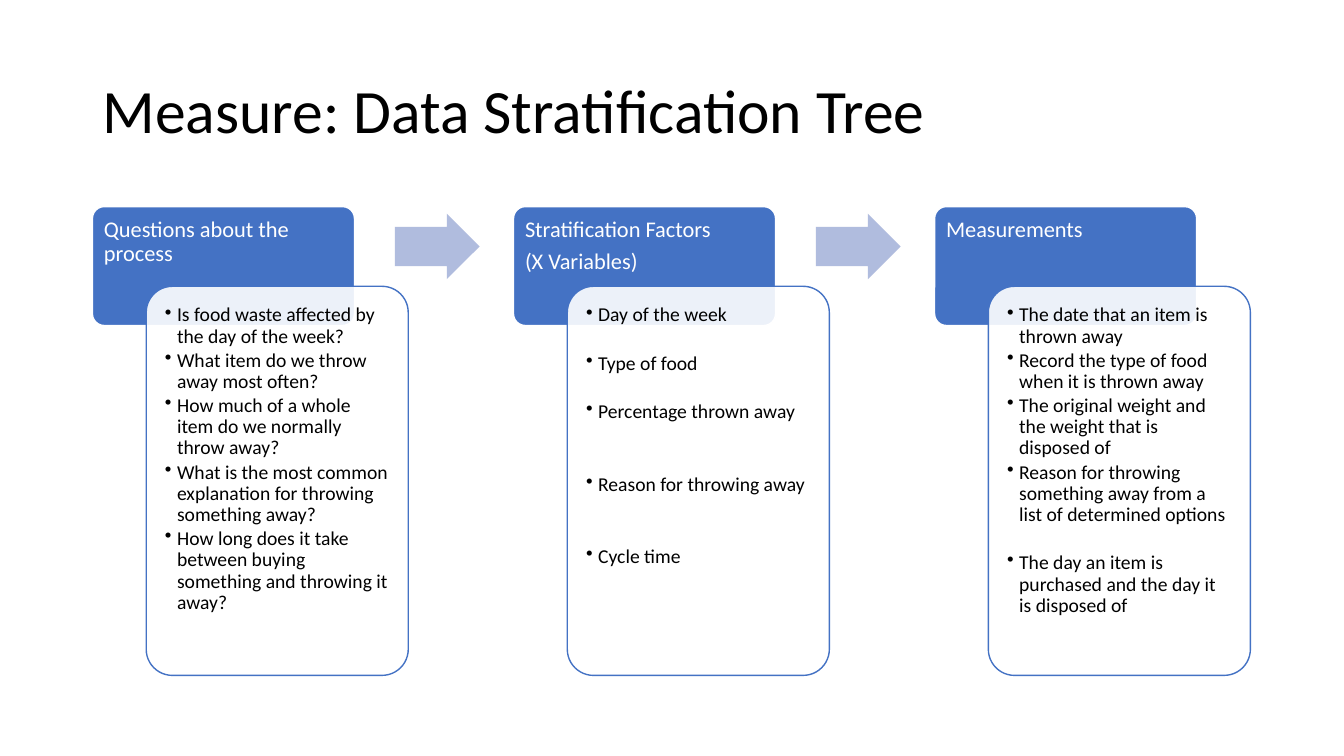
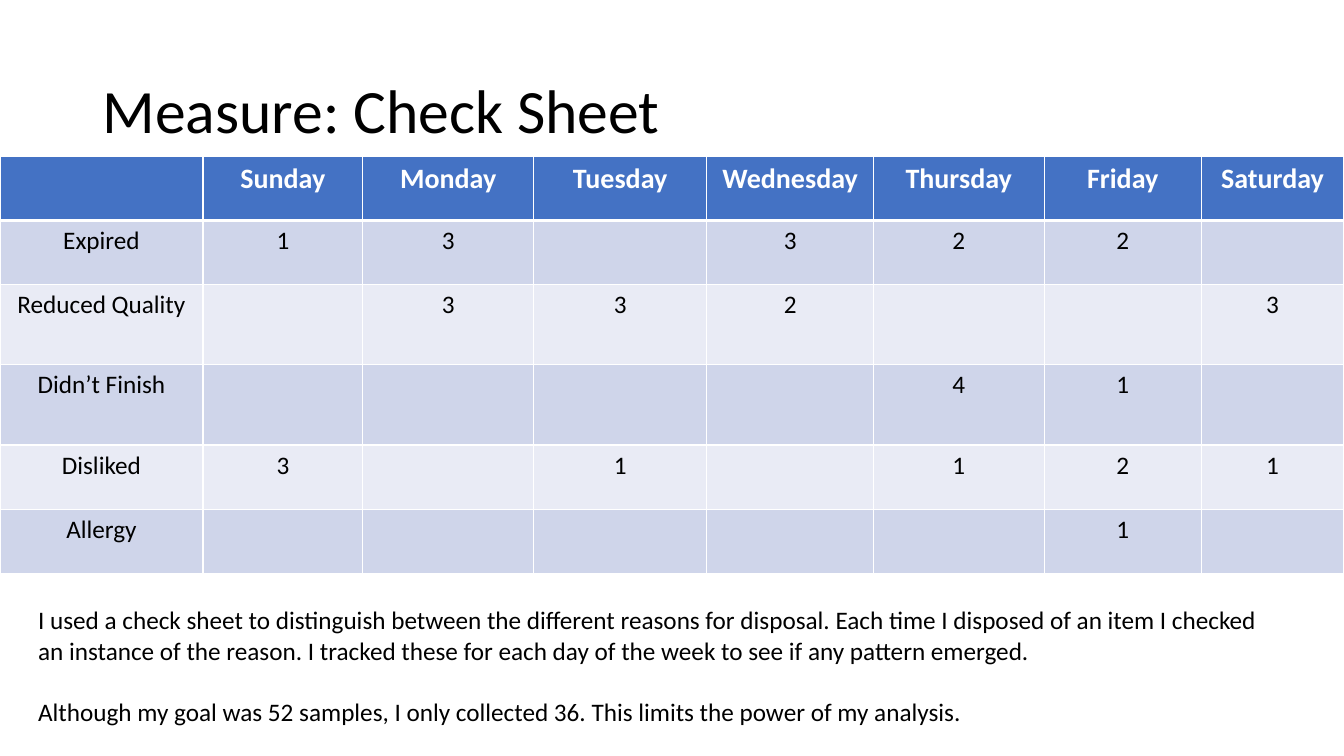
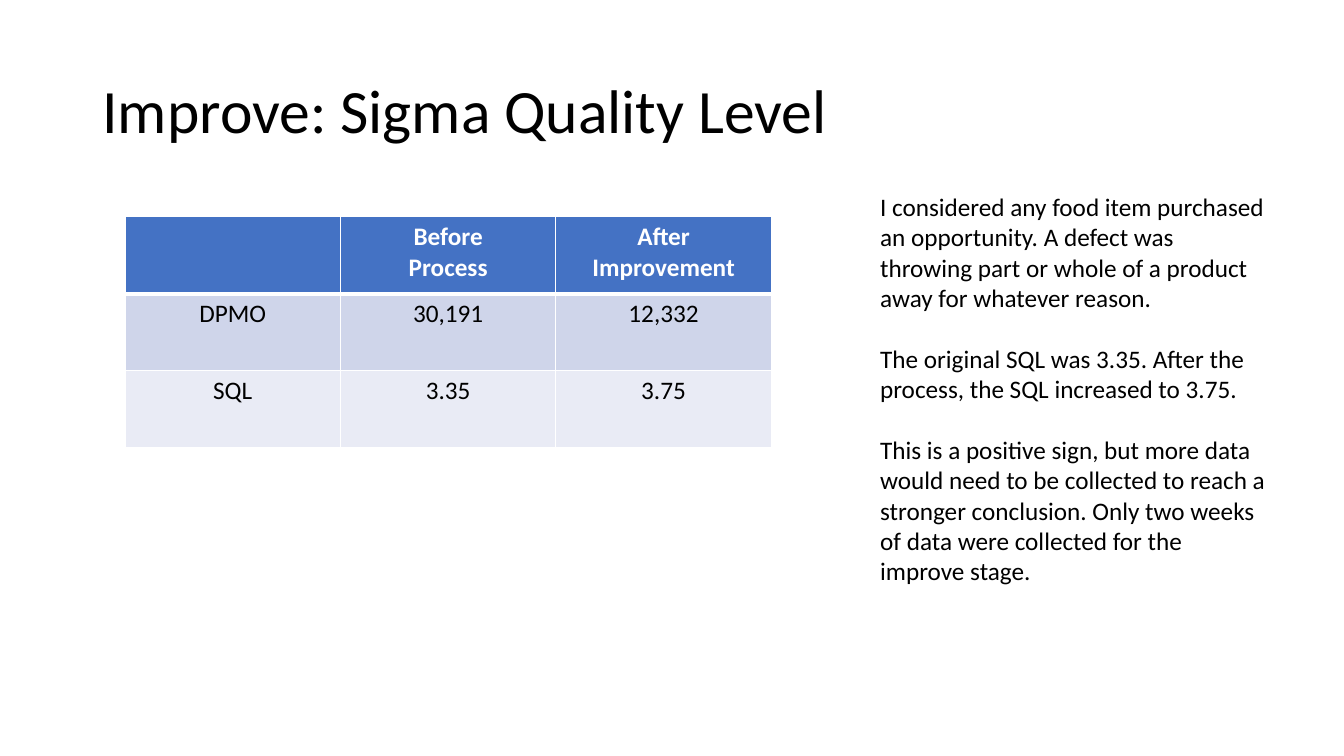
import dataclasses

import lxml.etree
import pptx
import pptx.dml.color
import pptx.enum.shapes
import pptx.enum.text
import pptx.oxml.ns
import pptx.slide
import pptx.table
import pptx.text.text
import pptx.util

SLIDE_WIDTH, SLIDE_HEIGHT = 13.33, 7.5
FONT = "Calibri"
BLACK, WHITE, BLUE = "000000", "FFFFFF", "4472C4"
ARROW_BLUE = "B0BCDE"
BANDS = ("CFD5EA", "E9EBF5")

ALIGN = pptx.enum.text.PP_ALIGN
ANCHOR = pptx.enum.text.MSO_ANCHOR
SHAPE = pptx.enum.shapes.MSO_SHAPE
TITLE_ONLY_LAYOUT = 5

CARD_STEP = 31.33
BULLET_GAP, BULLET_BLANK_LINE = 2.1, 17.3
NOTE_GAP = 22


@dataclasses.dataclass(frozen=True)
class Box:
    """A rectangle in percent of the slide's width and height."""
    left: float
    top: float
    width: float
    height: float

    def shifted(self, columns: float) -> "Box":
        return dataclasses.replace(self, left=self.left + columns)

    def lengths(self) -> tuple[int, ...]:
        return (across(self.left), down(self.top), across(self.width), down(self.height))


@dataclasses.dataclass(frozen=True)
class Card:
    heading: list[str]
    points: list[str]
    blank_lines: tuple[int, ...] = (0, 0, 0, 0, 0)


@dataclasses.dataclass(frozen=True)
class Grid:
    left: float
    top: float
    columns: list[float]
    rows: list[float]
    header_size: float
    cells: list[list[str]]


TITLE_BOX = Box(6.88, 5.33, 86.25, 19.33)
HEADING_BOX = Box(6.88, 27.33, 19.5, 15.73)
POINTS_BOX = Box(10.88, 37.87, 19.5, 51.47)
ARROW_BOX = Box(29.38, 28.27, 6.3, 8.67)

CARDS = [
    Card(["Questions about the process"],
         ["Is food waste affected by the day of the week?",
          "What item do we throw away most often?",
          "How much of a whole item do we normally throw away?",
          "What is the most common explanation for throwing something away?",
          "How long does it take between buying something and throwing it away?"]),
    Card(["Stratification Factors", "(X Variables)"],
         ["Day of the week", "Type of food", "Percentage thrown away",
          "Reason for throwing away", "Cycle time"],
         (1, 1, 2, 2, 0)),
    Card(["Measurements"],
         ["The date that an item is thrown away",
          "Record the type of food when it is thrown away",
          "The original weight and the weight that is disposed of",
          "Reason for throwing something away from a list of determined options",
          "The day an item is purchased and the day it is disposed of"],
         (0, 0, 0, 1, 0)),
]

CHECK_SHEET = Grid(
    left=0, top=20.67,
    columns=[15.1, 11.9, 12.7, 12.9, 12.4, 12.7, 11.7, 10.6],
    rows=[8.5, 8.5, 10.6, 10.6, 8.5, 8.5],
    header_size=20,
    cells=[
        ["", "Sunday", "Monday", "Tuesday", "Wednesday", "Thursday", "Friday", "Saturday"],
        ["Expired", "1", "3", "", "3", "2", "2", ""],
        ["Reduced Quality", "", "3", "3", "2", "", "", "3"],
        ["Didn’t Finish", "", "", "", "", "4", "1", ""],
        ["Disliked", "3", "", "1", "", "1", "2", "1"],
        ["Allergy", "", "", "", "", "", "1", ""],
    ],
)

SIGMA_LEVELS = Grid(
    left=9.3, top=28.67, columns=[16.03] * 3, rows=[10.18] * 3, header_size=18,
    cells=[
        ["", "Before\nProcess", "After Improvement"],
        ["DPMO", "30,191", "12,332"],
        ["SQL", "3.35", "3.75"],
    ],
)


def across(percent: float) -> int:
    return pptx.util.Inches(SLIDE_WIDTH * percent / 100)


def down(percent: float) -> int:
    return pptx.util.Inches(SLIDE_HEIGHT * percent / 100)


def color(value: str) -> pptx.dml.color.RGBColor:
    return pptx.dml.color.RGBColor.from_string(value)


def add_xml(parent, tag: str, **attributes: str):
    return lxml.etree.SubElement(parent, pptx.oxml.ns.qn(tag), attributes)


def write(frame: pptx.text.text.TextFrame, texts: list[str], *, size: float = 18,
          ink: str = BLACK, bold: bool = False, align: ALIGN = ALIGN.LEFT,
          line_spacing: float = 1.0, gaps: list[float] | None = None,
          bulleted: bool = False) -> None:
    """Write one paragraph per text; gaps are the points of space after each."""
    frame.word_wrap = True
    for index, text in enumerate(texts):
        paragraph = frame.paragraphs[0] if index == 0 else frame.add_paragraph()
        paragraph.alignment = align
        paragraph.line_spacing = line_spacing
        if gaps:
            paragraph.space_after = pptx.util.Pt(gaps[index])
        if bulleted:
            add_bullet(paragraph)
        run = paragraph.add_run()
        run.text = text
        run.font.name, run.font.size, run.font.bold = FONT, pptx.util.Pt(size), bold
        run.font.color.rgb = color(ink)


def add_bullet(paragraph) -> None:
    paragraph.level = 1
    properties = paragraph._p.get_or_add_pPr()
    indent = pptx.util.Inches(0.12)
    properties.set("marL", str(indent))
    properties.set("indent", str(-indent))
    add_xml(properties, "a:buChar", char="•")


def add_titled_slide(presentation, title: str) -> pptx.slide.Slide:
    slide = presentation.slides.add_slide(presentation.slide_layouts[TITLE_ONLY_LAYOUT])
    shape = slide.shapes.title
    shape.left, shape.top, shape.width, shape.height = TITLE_BOX.lengths()
    shape.text_frame.vertical_anchor = ANCHOR.MIDDLE
    shape.text_frame.auto_size = pptx.enum.text.MSO_AUTO_SIZE.NONE
    write(shape.text_frame, [title], size=44, line_spacing=0.9)
    return slide


def add_panel(slide: pptx.slide.Slide, kind: SHAPE, box: Box, fill: str, *,
              adjustments: tuple[float, ...] = (0.1,), outline: str | None = None,
              opacity: int = 100, inset: float = 0.1):
    shape = slide.shapes.add_shape(kind, *box.lengths())
    shape.shadow.inherit = False
    for index, adjustment in enumerate(adjustments):
        shape.adjustments[index] = adjustment
    shape.fill.solid()
    shape.fill.fore_color.rgb = color(fill)
    if opacity < 100:
        solid = shape._element.spPr.find(pptx.oxml.ns.qn("a:solidFill"))
        add_xml(solid[0], "a:alpha", val=str(opacity * 1000))
    if outline:
        shape.line.color.rgb = color(outline)
        shape.line.width = pptx.util.Pt(1)
    else:
        shape.line.fill.background()
    frame = shape.text_frame
    frame.vertical_anchor = ANCHOR.TOP
    frame.margin_left = frame.margin_right = pptx.util.Inches(inset)
    frame.margin_top = frame.margin_bottom = pptx.util.Inches(inset)
    return shape


def add_card(slide: pptx.slide.Slide, card: Card, shift: float) -> None:
    heading = add_panel(slide, SHAPE.ROUNDED_RECTANGLE, HEADING_BOX.shifted(shift), BLUE,
                        outline=WHITE, inset=0.08)
    write(heading.text_frame, card.heading, size=16, ink=WHITE, line_spacing=0.9,
          gaps=[5.6] * len(card.heading))
    points = add_panel(slide, SHAPE.ROUNDED_RECTANGLE, POINTS_BOX.shifted(shift), WHITE,
                       outline=BLUE, opacity=90, inset=0.11)
    write(points.text_frame, card.points, size=14, line_spacing=0.9, bulleted=True,
          gaps=[BULLET_GAP + BULLET_BLANK_LINE * count for count in card.blank_lines])


def set_borders(cell: pptx.table._Cell, bottom_width: float) -> None:
    properties = cell._tc.get_or_add_tcPr()
    for side, width in (("L", 1), ("R", 1), ("T", 1), ("B", bottom_width)):
        line = add_xml(properties, f"a:ln{side}", w=str(pptx.util.Pt(width)))
        add_xml(add_xml(line, "a:solidFill"), "a:srgbClr", val=WHITE)


def add_grid(slide: pptx.slide.Slide, grid: Grid) -> None:
    box = Box(grid.left, grid.top, sum(grid.columns), sum(grid.rows))
    table = slide.shapes.add_table(len(grid.rows), len(grid.columns), *box.lengths()).table
    for column, width in zip(table.columns, grid.columns):
        column.width = across(width)
    for row_index, texts in enumerate(grid.cells):
        table.rows[row_index].height = down(grid.rows[row_index])
        header = row_index == 0
        for column_index, text in enumerate(texts):
            cell = table.cell(row_index, column_index)
            set_borders(cell, 3 if header else 1)
            cell.fill.solid()
            cell.fill.fore_color.rgb = color(BLUE if header else BANDS[(row_index - 1) % 2])
            if text:
                write(cell.text_frame, text.split("\n"), align=ALIGN.CENTER, bold=header,
                      size=grid.header_size if header else 18,
                      ink=WHITE if header else BLACK)


def add_note(slide: pptx.slide.Slide, box: Box, texts: list[str]) -> None:
    frame = slide.shapes.add_textbox(*box.lengths()).text_frame
    write(frame, texts, gaps=[NOTE_GAP] * (len(texts) - 1) + [0])


def build_stratification_tree(presentation) -> None:
    slide = add_titled_slide(presentation, "Measure: Data Stratification Tree")
    for index, card in enumerate(CARDS):
        shift = index * CARD_STEP
        add_card(slide, card, shift)
        if index < len(CARDS) - 1:
            add_panel(slide, SHAPE.RIGHT_ARROW, ARROW_BOX.shifted(shift), ARROW_BLUE,
                      adjustments=(0.6, 0.5))


def build_check_sheet(presentation) -> None:
    slide = add_titled_slide(presentation, "Measure: Check Sheet")
    add_grid(slide, CHECK_SHEET)
    add_note(slide, Box(2.1, 79.33, 94.4, 17.47), [
        "I used a check sheet to distinguish between the different reasons for disposal. "
        "Each time I disposed of an item I checked an instance of the reason. "
        "I tracked these for each day of the week to see if any pattern emerged.",
        "Although my goal was 52 samples, I only collected 36. "
        "This limits the power of my analysis.",
    ])


def build_sigma_quality(presentation) -> None:
    slide = add_titled_slide(presentation, "Improve: Sigma Quality Level")
    add_grid(slide, SIGMA_LEVELS)
    add_note(slide, Box(64.75, 24.67, 30.2, 53.87), [
        "I considered any food item purchased an opportunity. "
        "A defect was throwing part or whole of a product away for whatever reason.",
        "The original SQL was 3.35. After the process, the SQL increased to 3.75.",
        "This is a positive sign, but more data would need to be collected to reach "
        "a stronger conclusion. Only two weeks of data were collected for the improve stage.",
    ])


def main() -> None:
    presentation = pptx.Presentation()
    presentation.slide_width = pptx.util.Inches(SLIDE_WIDTH)
    presentation.slide_height = pptx.util.Inches(SLIDE_HEIGHT)
    build_stratification_tree(presentation)
    build_check_sheet(presentation)
    build_sigma_quality(presentation)
    presentation.save("out.pptx")


if __name__ == "__main__":
    main()
